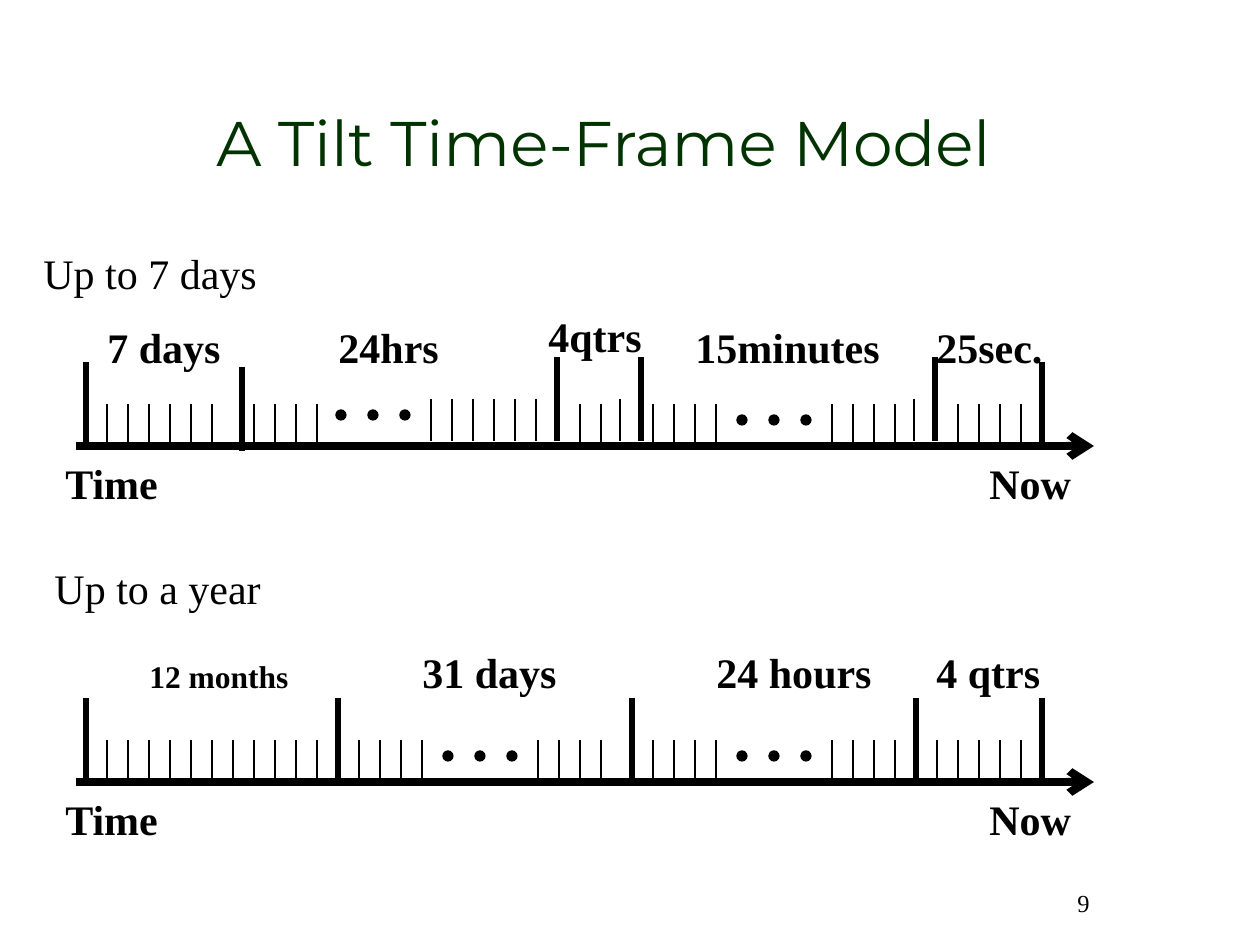
from dataclasses import dataclass

from lxml.etree import SubElement
from pptx import Presentation
from pptx.dml.color import RGBColor
from pptx.enum.shapes import MSO_CONNECTOR as Connector, MSO_SHAPE as Shape
from pptx.enum.text import MSO_ANCHOR as Anchor, MSO_AUTO_SIZE as AutoSize, PP_ALIGN as Align
from pptx.oxml.ns import qn
from pptx.shapes.shapetree import GroupShapes, SlideShapes
from pptx.util import Emu, Pt

PX_PER_INCH = 126
COLORS = {"title": "003300", "ink": "000000", "background": "FFFFFF"}
SERIF = "Times New Roman"

AXIS_START, AXIS_END = 76, 1094
TICK_PITCH, TICK_HEIGHT, BOUNDARY_HEIGHT = 21, 42, 84
DOT_PITCH, DOT_SIZE = 32, 10
LABEL_HEIGHT = 63

Canvas = SlideShapes | GroupShapes


@dataclass(frozen=True)
class Label:
    text: str
    x: int
    y: int
    width: int
    height: int = LABEL_HEIGHT
    size: int = 24
    bold: bool = True
    font: str = SERIF
    color: str = "ink"
    align: Align = Align.LEFT
    anchor: Anchor = Anchor.TOP
    wrap: bool = False


@dataclass(frozen=True)
class Boundary:
    x: int
    lift: int = 0


@dataclass(frozen=True)
class Ticks:
    x: int
    count: int
    lift: int = 0


@dataclass(frozen=True)
class Ellipsis:
    center_x: int
    lift: int = 26


@dataclass(frozen=True)
class Timeline:
    axis_y: int
    labels: list[Label]
    boundaries: list[Boundary]
    ticks: list[Ticks]
    ellipses: list[Ellipsis]


def px(length: int) -> Emu:
    return Emu(round(length * 914400 / PX_PER_INCH))


def rgb(name: str) -> RGBColor:
    return RGBColor.from_string(COLORS[name])


def draw_label(shapes: Canvas, label: Label) -> None:
    box = shapes.add_textbox(px(label.x), px(label.y), px(label.width), px(label.height))
    frame = box.text_frame
    frame.text = label.text
    frame.word_wrap = label.wrap
    frame.auto_size = AutoSize.NONE if label.wrap else AutoSize.SHAPE_TO_FIT_TEXT
    frame.vertical_anchor = label.anchor
    paragraph = frame.paragraphs[0]
    paragraph.alignment = label.align
    font = paragraph.runs[0].font
    font.name, font.size, font.bold = label.font, Pt(label.size), label.bold
    font.color.rgb = rgb(label.color)


def draw_line(shapes: Canvas, start: tuple[int, int], end: tuple[int, int],
              width: float, arrow: bool = False) -> None:
    line = shapes.add_connector(Connector.STRAIGHT, *map(px, start + end))
    line.line.color.rgb = rgb("ink")
    line.line.width = Pt(width)
    if arrow:
        SubElement(line.line._get_or_add_ln(), qn("a:tailEnd"), type="arrow")
    SubElement(line._element.spPr, qn("a:effectLst"))


def draw_mark(shapes: Canvas, x: int, bottom: int, height: int, width: float) -> None:
    draw_line(shapes, (x, bottom - height), (x, bottom), width)


def draw_ellipsis(shapes: Canvas, ellipsis: Ellipsis, axis_y: int) -> None:
    top = axis_y - ellipsis.lift - DOT_SIZE // 2
    for step in (-1, 0, 1):
        left = ellipsis.center_x + step * DOT_PITCH - DOT_SIZE // 2
        dot = shapes.add_shape(Shape.OVAL, px(left), px(top), px(DOT_SIZE), px(DOT_SIZE))
        dot.shadow.inherit = False
        dot.fill.solid()
        dot.fill.fore_color.rgb = rgb("ink")
        dot.line.color.rgb = rgb("ink")
        dot.line.width = Pt(0.75)


def draw_timeline(shapes: Canvas, timeline: Timeline) -> None:
    axis_y = timeline.axis_y
    draw_line(shapes, (AXIS_START, axis_y), (AXIS_END, axis_y), 4.5, arrow=True)
    for boundary in timeline.boundaries:
        draw_mark(shapes, boundary.x, axis_y - boundary.lift, BOUNDARY_HEIGHT, 3)
    for ticks in timeline.ticks:
        for index in range(ticks.count):
            x = ticks.x + index * TICK_PITCH
            draw_mark(shapes, x, axis_y - ticks.lift, TICK_HEIGHT, 0.75)
    for ellipsis in timeline.ellipses:
        draw_ellipsis(shapes, ellipsis, axis_y)
    ends = [Label("Time", 53, axis_y + 5, 122), Label("Now", 977, axis_y + 5, 111)]
    for label in timeline.labels + ends:
        draw_label(shapes, label)


HEADINGS = [
    Label("A Tilt Time-Frame Model", 73, 83, 1061, 116, size=36, bold=False,
          font="Montserrat", color="title", align=Align.CENTER,
          anchor=Anchor.MIDDLE, wrap=True),
    Label("Up to 7 days", 31, 241, 770, bold=False, wrap=True),
    Label("Up to a year", 42, 556, 232, bold=False),
    Label("9", 892, 882, 210, size=14, bold=False, align=Align.RIGHT, wrap=True),
]

# Label widths leave a few px to spare so that each stays on one line
WEEK = Timeline(
    axis_y=446,
    labels=[Label("7 days", 95, 315, 144), Label("24hrs", 326, 315, 132),
            Label("4qtrs", 536, 304, 126), Label("15minutes", 683, 315, 216),
            Label("25sec.", 924, 315, 138)],
    boundaries=[Boundary(86), Boundary(242, -5), Boundary(557, 5),
                Boundary(641, 5), Boundary(935, 5), Boundary(1042)],
    ticks=[Ticks(107, 6), Ticks(254, 4), Ticks(431, 6, 5), Ticks(580, 2),
           Ticks(620, 1, 5), Ticks(653, 4), Ticks(832, 4), Ticks(914, 1, 5),
           Ticks(958, 4)],
    ellipses=[Ellipsis(373, 31), Ellipsis(774)],
)

YEAR = Timeline(
    axis_y=782,
    labels=[Label("12 months", 137, 651, 170, 50, size=18), Label("31 days", 410, 640, 166),
            Label("24 hours", 704, 640, 186), Label("4 qtrs", 924, 640, 136)],
    boundaries=[Boundary(x) for x in (86, 338, 632, 916, 1042)],
    ticks=[Ticks(107, 11), Ticks(359, 4), Ticks(538, 4), Ticks(653, 4),
           Ticks(832, 4), Ticks(937, 5)],
    ellipses=[Ellipsis(480), Ellipsis(774)],
)


def main() -> None:
    presentation = Presentation()
    presentation.slide_width, presentation.slide_height = px(1260), px(945)
    slide = presentation.slides.add_slide(presentation.slide_layouts[6])
    slide.background.fill.solid()
    slide.background.fill.fore_color.rgb = rgb("background")

    # Title, section headings and page number
    for heading in HEADINGS:
        draw_label(slide.shapes, heading)

    # One group per timeline
    for timeline in (WEEK, YEAR):
        draw_timeline(slide.shapes.add_group_shape().shapes, timeline)

    presentation.save("out.pptx")


if __name__ == "__main__":
    main()
